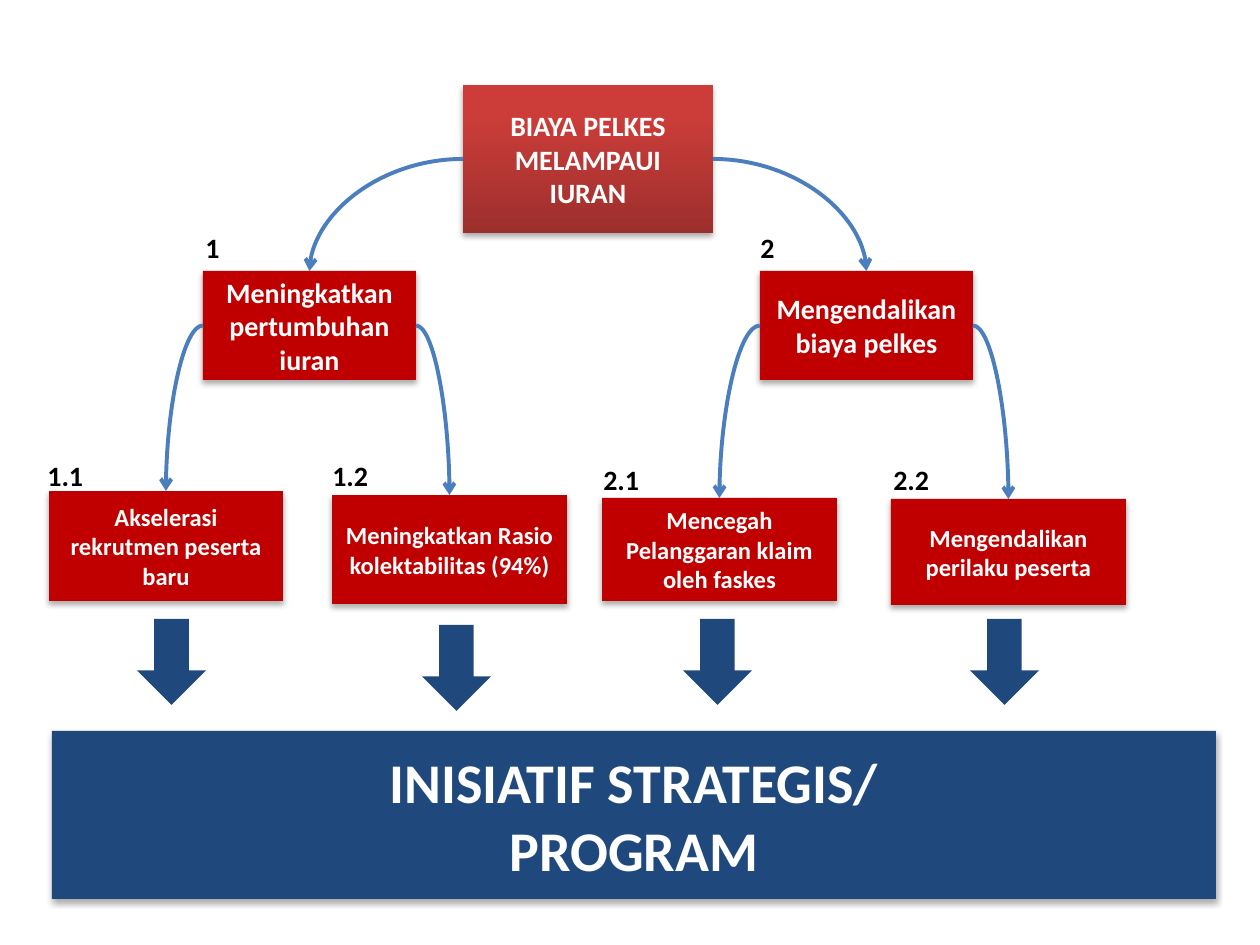
from lxml import etree
from pptx import Presentation
from pptx import util as u
from pptx.dml.color import RGBColor
from pptx.enum import shapes, text
from pptx.oxml import parse_xml
from pptx.oxml.ns import nsdecls, qn

PX = u.Inches(10) / 1260
WHITE = RGBColor(0xFF, 0xFF, 0xFF)
BLACK = RGBColor(0x00, 0x00, 0x00)
RED = RGBColor(0xC0, 0x00, 0x00)
DARK = RGBColor(0x9C, 0x2F, 0x2D)
LIGHT = RGBColor(0xCC, 0x3D, 0x39)
NAVY = RGBColor(0x1F, 0x49, 0x7D)
BLUE = RGBColor(0x4B, 0x7E, 0xBC)

ROOT = ("BIAYA PELKES MELAMPAUI IURAN", (463, 85, 250, 148))
TREE = [
    ("1", "Meningkatkan pertumbuhan iuran", (203, 271, 213, 109), (-10, -47), [
        ("1.1", "Akselerasi rekrutmen peserta baru",
         (49, 491, 234, 110), (-14, -39), (88, 128)),
        ("1.2", "Meningkatkan Rasio kolektabilitas (94%)",
         (332, 495, 235, 109), (-12, -43), (90, 130)),
    ]),
    ("2", "Mengendalikan biaya pelkes", (760, 271, 213, 109), (-12, -47), [
        ("2.1", "Mencegah Pelanggaran klaim oleh faskes",
         (602, 498, 235, 103), (-11, -42), (81, 121)),
        ("2.2", "Mengendalikan perilaku peserta",
         (891, 499, 235, 106), (-10, -43), (79, 120)),
    ]),
]
BANNER = (52, 731, 1164, 168)


def px(*nums):
    return [u.Emu(round(n * PX)) for n in nums]


def write(shape, words, size=16, color=WHITE, align=text.PP_ALIGN.CENTER,
          anchor=text.MSO_ANCHOR.MIDDLE, wrap=True):
    frame = shape.text_frame
    frame.word_wrap = wrap
    frame.vertical_anchor = anchor
    frame.text = words
    for para in frame.paragraphs:
        para.alignment = align
        font = para.font
        font.name, font.size, font.bold = "Calibri", u.Pt(size), True
        font.color.rgb = color


def shade(shape):
    shape.shadow.inherit = False
    glow = shape._element.spPr.find(qn("a:effectLst"))
    glow.append(parse_xml(
        f'<a:outerShdw {nsdecls("a")} blurRad="44450" dist="27940" '
        'dir="5400000" rotWithShape="0"><a:srgbClr val="000000">'
        '<a:alpha val="32000"/></a:srgbClr></a:outerShdw>'))


def block(slide, box, fill, kind=shapes.MSO_SHAPE.RECTANGLE):
    shape = slide.shapes.add_shape(kind, *px(*box))
    shape.shadow.inherit = False
    shape.fill.solid()
    shape.fill.fore_color.rgb = fill
    shape.line.fill.background()
    return shape


def node(slide, words, box, fill=RED, size=16):
    shape = block(slide, box, fill)
    shade(shape)
    write(shape, words, size=size)
    return shape


def label(slide, words, box, shift):
    width = 40 if len(words) == 1 else 62
    spot = (box[0] + shift[0], box[1] + shift[1], width, 47)
    shape = slide.shapes.add_textbox(*px(*spot))
    write(shape, words, color=BLACK, align=text.PP_ALIGN.LEFT,
          anchor=text.MSO_ANCHOR.TOP, wrap=False)


def link(slide, top, side, low):
    line = slide.shapes.add_connector(shapes.MSO_CONNECTOR.CURVE, 0, 0, 0, 0)
    line.begin_connect(top, side)
    line.end_connect(low, 0)
    line.line.color.rgb = BLUE
    line.line.width = u.Pt(2.25)
    props = line._element.spPr
    props.find(qn("a:prstGeom")).set("prst", "curvedConnector2")
    tail = etree.SubElement(props.find(qn("a:ln")), qn("a:tailEnd"))
    tail.set("type", "arrow")
    etree.SubElement(props, qn("a:effectLst"))


def root(slide, words, box):
    shape = node(slide, words, box)
    shape.fill.gradient()
    shape.fill.gradient_angle = 90
    for stop, spot, color in zip(shape.fill.gradient_stops, (0, 0.8), (DARK, LIGHT)):
        stop.position = spot
        stop.color.rgb = color
    return shape


def leaf(slide, tag, words, box, shift, drop):
    shape = node(slide, words, box, size=14)
    label(slide, tag, box, shift)
    spot = (box[0] + drop[0], box[1] + drop[1], 69, 86)
    block(slide, spot, NAVY, shapes.MSO_SHAPE.DOWN_ARROW)
    return shape


def branch(slide, tag, words, box, shift, kids):
    shape = node(slide, words, box)
    label(slide, tag, box, shift)
    for side, kid in zip((1, 3), kids):
        link(slide, shape, side, leaf(slide, *kid))
    return shape


def main():
    deck = Presentation()
    deck.slide_width, deck.slide_height = px(1260, 945)
    slide = deck.slides.add_slide(deck.slide_layouts[6])
    top = root(slide, *ROOT)
    for side, part in zip((1, 3), TREE):
        link(slide, top, side, branch(slide, *part))
    node(slide, "INISIATIF STRATEGIS/\nPROGRAM", BANNER, fill=NAVY, size=32)
    deck.save("out.pptx")


if __name__ == "__main__":
    main()
